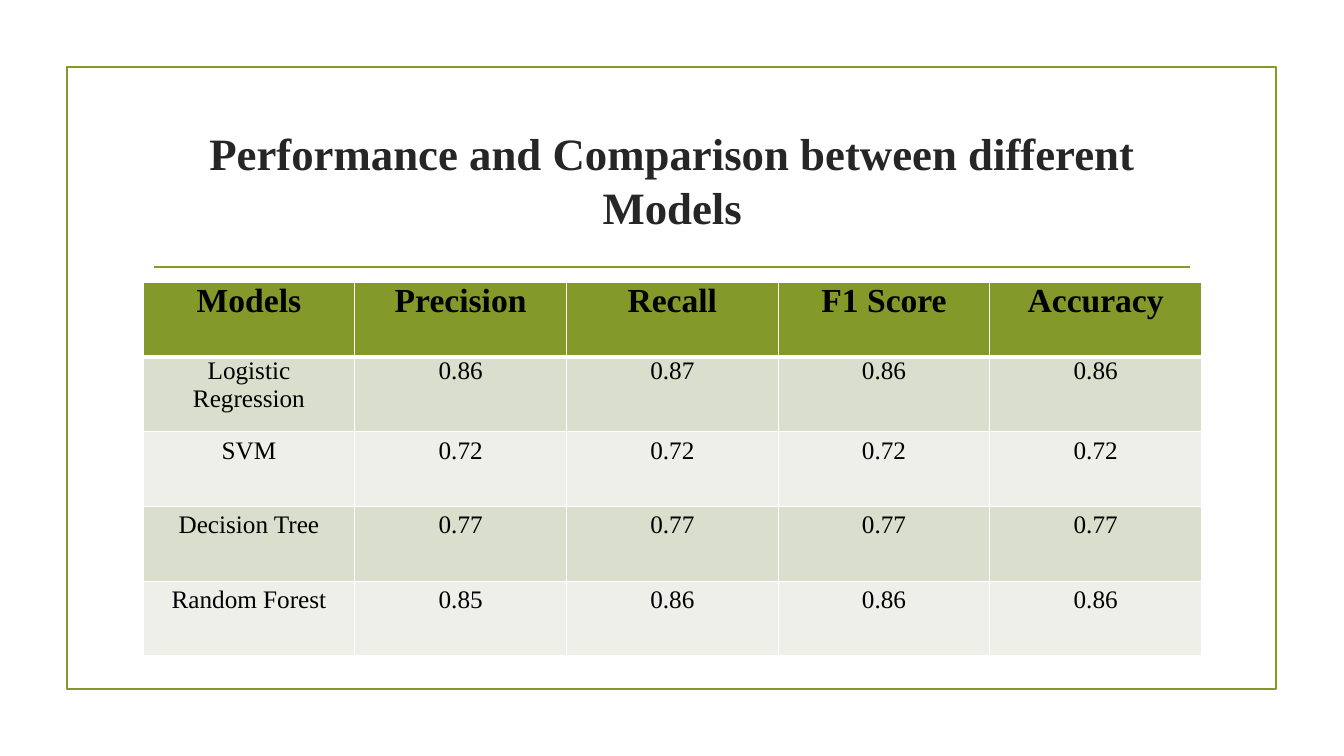
import pptx
import pptx.util
import pptx.dml.color
import pptx.enum.shapes
import pptx.enum.text
import pptx.oxml
import pptx.oxml.ns

Pt = pptx.util.Pt
Color = pptx.dml.color.RGBColor.from_string

# Content
TITLE = "Performance and Comparison between different Models"
ROWS = [
    ("Models", "Precision", "Recall", "F1 Score", "Accuracy"),
    ("Logistic Regression", "0.86", "0.87", "0.86", "0.86"),
    ("SVM", "0.72", "0.72", "0.72", "0.72"),
    ("Decision Tree", "0.77", "0.77", "0.77", "0.77"),
    ("Random Forest", "0.85", "0.86", "0.86", "0.86"),
]

# Style and layout, in points
FONT = "Times New Roman"
COLORS = {"green": "83992A", "title": "262626", "text": "000000",
          "odd": "D9DECD", "even": "EDEFE8", "grid": "FFFFFF"}
LEFT, WIDTH = 102.24, 756
TOP, ROW_H = 201.6, 53.4
TIGHT, LOOSE = (4.5, 0), (7.2, 3.6)
LINE = 1.25


def write(frame, text, size, color="text", bold=False, pad=LOOSE,
          anchor=pptx.enum.text.MSO_ANCHOR.TOP):
    """Fill a text frame or table cell with one centred paragraph."""
    frame.margin_left = frame.margin_right = Pt(pad[0])
    frame.margin_top = frame.margin_bottom = Pt(pad[1])
    frame.vertical_anchor = anchor
    frame.word_wrap = True
    para = frame.paragraphs[0]
    para.alignment = pptx.enum.text.PP_ALIGN.CENTER
    run = para.add_run()
    run.text = text
    run.font.name = FONT
    run.font.size = Pt(size)
    run.font.bold = bold
    run.font.color.rgb = Color(COLORS[color])


def edge(cell, side, width):
    """Draw one border; borders stand before the fill in the cell."""
    xml = (f'<a:{side} {pptx.oxml.ns.nsdecls("a")} w="{Pt(width)}"><a:solidFill>'
           f'<a:srgbClr val="{COLORS["grid"]}"/></a:solidFill></a:{side}>')
    cell._tc.get_or_add_tcPr().append(pptx.oxml.parse_xml(xml))


def main():
    deck = pptx.Presentation()
    deck.slide_width, deck.slide_height = Pt(960), Pt(540)
    slide = deck.slides.add_slide(deck.slide_layouts[6])
    shapes = slide.shapes

    # Frame
    frame = shapes.add_shape(pptx.enum.shapes.MSO_SHAPE.RECTANGLE,
                             Pt(47.7), Pt(48), Pt(864), Pt(444.2))
    frame.shadow.inherit = False
    frame.fill.background()
    frame.line.color.rgb = Color(COLORS["green"])
    frame.line.width = Pt(LINE)

    # Rule under the title
    rule = shapes.add_connector(pptx.enum.shapes.MSO_CONNECTOR.STRAIGHT,
                                Pt(110.2), Pt(190.8), Pt(850.3), Pt(190.8))
    rule.line.color.rgb = Color(COLORS["green"])
    rule.line.width = Pt(LINE)
    pptx.oxml.ns.qn("a:effectLst")
    rule._element.spPr.append(pptx.oxml.parse_xml(
        f'<a:effectLst {pptx.oxml.ns.nsdecls("a")}/>'))

    # Title
    box = shapes.add_textbox(Pt(LEFT), Pt(77), Pt(WIDTH), Pt(103))
    write(box.text_frame, TITLE, 32, color="title", bold=True,
          anchor=pptx.enum.text.MSO_ANCHOR.MIDDLE)

    # Table
    table = shapes.add_table(len(ROWS), len(ROWS[0]), Pt(LEFT), Pt(TOP),
                             Pt(WIDTH), Pt(ROW_H * len(ROWS))).table
    for r, row in enumerate(ROWS):
        table.rows[r].height = Pt(ROW_H)
        head = r == 0
        fill = "green" if head else "odd" if r % 2 else "even"
        for c, text in enumerate(row):
            cell = table.cell(r, c)
            write_cell(cell, text, head, TIGHT if r < 2 else LOOSE)
            for side, width in (("lnL", 1), ("lnR", 1),
                                ("lnT", 3 if r == 1 else 1),
                                ("lnB", 3 if head else 1)):
                edge(cell, side, width)
            cell.fill.solid()
            cell.fill.fore_color.rgb = Color(COLORS[fill])

    deck.save("out.pptx")


def write_cell(cell, text, head, pad):
    """Set the cell's own margins, then its text."""
    write(cell.text_frame, text, 24 if head else 18, bold=head)
    cell.margin_left = cell.margin_right = Pt(pad[0])
    cell.margin_top = cell.margin_bottom = Pt(pad[1])


if __name__ == "__main__":
    main()
